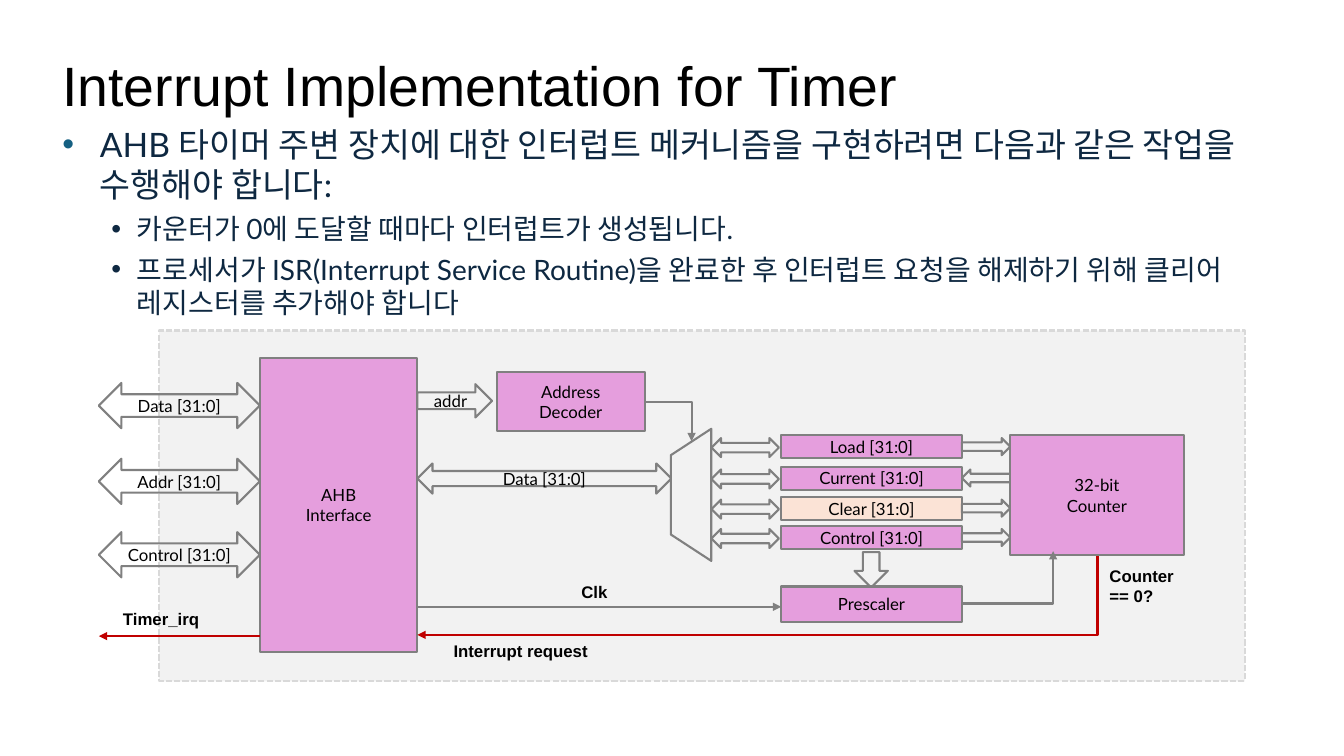
from lxml import etree
from pptx import Presentation
from pptx.dml.color import RGBColor
from pptx.enum.dml import MSO_LINE
from pptx.enum.shapes import MSO_CONNECTOR, MSO_SHAPE
from pptx.enum.text import MSO_ANCHOR, PP_ALIGN
from pptx.oxml.ns import qn
from pptx.util import Cm, Pt

BLOCK = MSO_SHAPE.FLOWCHART_PROCESS
MUX = MSO_SHAPE.FLOWCHART_MANUAL_OPERATION
BOTH_WAYS = MSO_SHAPE.LEFT_RIGHT_ARROW
ONE_WAY = MSO_SHAPE.RIGHT_ARROW
PANEL = MSO_SHAPE.RECTANGLE
STRAIGHT = MSO_CONNECTOR.STRAIGHT
ELBOW = MSO_CONNECTOR.ELBOW
DASH = MSO_LINE.SQUARE_DOT
MIDDLE = MSO_ANCHOR.MIDDLE
CENTER = PP_ALIGN.CENTER

PINK, PEACH, PALE = "E59EDD", "FBE3D6", "F2F2F2"
GRAY, LIGHT_GRAY, RED = "808080", "D9D9D9", "C00000"
BLACK, NAVY, TEAL = "000000", "0E2841", "156082"


def color(hex_value):
    return RGBColor.from_string(hex_value)


def style_runs(paragraph, font_name, size, hex_value, bold=False):
    for run in paragraph.runs:
        run.font.name = font_name
        run.font.size = Pt(size)
        run.font.color.rgb = color(hex_value)
        run.font.bold = bold


def add_bullet(paragraph, margin, hanging, hex_value):
    props = paragraph._p.get_or_add_pPr()
    props.set("marL", str(Cm(margin)))
    props.set("indent", str(-Cm(hanging)))
    bullet_color = etree.SubElement(props, qn("a:buClr"))
    etree.SubElement(bullet_color, qn("a:srgbClr"), val=hex_value)
    etree.SubElement(props, qn("a:buFont"), typeface="Arial")
    etree.SubElement(props, qn("a:buChar"), char="•")


def add_title(slide, box, text):
    frame = slide.shapes.add_textbox(*map(Cm, box)).text_frame
    frame.word_wrap = True
    frame.vertical_anchor = MIDDLE
    frame.text = text
    frame.paragraphs[0].line_spacing = 0.9
    style_runs(frame.paragraphs[0], "Arial", 39.6, BLACK)


def add_body(slide, box, lead, points):
    frame = slide.shapes.add_textbox(*map(Cm, box)).text_frame
    frame.word_wrap = True
    frame.text = "\n".join([lead, *points])
    heading, *details = frame.paragraphs
    add_bullet(heading, 0.95, 0.95, TEAL)
    style_runs(heading, "Lato", 24, NAVY)
    for detail in details:
        detail.level = 1
        add_bullet(detail, 1.88, 0.64, NAVY)
        detail.space_before = Pt(5)
        style_runs(detail, "Lato", 20, NAVY)


def add_timer_diagram(slide, box):
    left, top, width, height = box

    def part(kind, x, y, w, h, text="", fill=None, line=GRAY, turn=0):
        shape = slide.shapes.add_shape(kind, Cm(left + x), Cm(top + y), Cm(w), Cm(h))
        shape.shadow.inherit = False
        shape.rotation = turn
        if fill:
            shape.fill.solid()
            shape.fill.fore_color.rgb = color(fill)
        else:
            shape.fill.background()
        shape.line.color.rgb = color(line)
        shape.line.width = Pt(1.5)
        if text:
            frame = shape.text_frame
            frame.word_wrap = False
            frame.vertical_anchor = MIDDLE
            frame.margin_left = frame.margin_right = 0
            frame.margin_top = frame.margin_bottom = 0
            frame.text = text
            for paragraph in frame.paragraphs:
                paragraph.alignment = CENTER
                style_runs(paragraph, "Lato", 12, BLACK)
        return shape

    def wire(kind, x1, y1, x2, y2, hex_value=GRAY, arrow_at="a:tailEnd"):
        connector = slide.shapes.add_connector(
            kind, Cm(left + x1), Cm(top + y1), Cm(left + x2), Cm(top + y2))
        connector.line.color.rgb = color(hex_value)
        connector.line.width = Pt(1.5)
        props = connector._element.spPr
        if kind == ELBOW:
            props.find(qn("a:prstGeom")).set("prst", "bentConnector2")
        etree.SubElement(props.find(qn("a:ln")), qn(arrow_at), type="triangle")
        etree.SubElement(props, qn("a:effectLst"))

    def label(x, y, w, h, text):
        frame = slide.shapes.add_textbox(
            Cm(left + x), Cm(top + y), Cm(w), Cm(h)).text_frame
        frame.word_wrap = True
        frame.text = text
        for paragraph in frame.paragraphs:
            style_runs(paragraph, "Arial", 12, BLACK, True)

    bus_w, ahb_right = 4.06, 8.03
    register_x, register_w = 17.2, 4.55
    register_right = register_x + register_w

    panel = part(PANEL, 1.52, 0, width - 1.52, height, fill=PALE, line=LIGHT_GRAY)
    panel.line.dash_style = DASH

    part(BLOCK, bus_w, 0.69, ahb_right - bus_w, 7.42, "AHB\nInterface", PINK)
    for y, bus in ((1.32, "Data [31:0]"), (3.23, "Addr [31:0]"), (5.08, "Control [31:0]")):
        part(BOTH_WAYS, 0, y, bus_w, 1.14, bus)

    part(ONE_WAY, ahb_right, 1.35, 1.88, 0.84, "addr")
    part(BLOCK, 10.03, 1.04, 3.73, 1.5, "Address\nDecoder", PINK)
    part(BOTH_WAYS, ahb_right, 3.35, 6.4, 0.76, "Data [31:0]")
    part(MUX, 13.26, 3.63, 3.33, 1.02, fill=PALE, turn=90)
    wire(ELBOW, 13.77, 1.8, 14.94, 2.79)

    registers = (
        (2.64, "Load [31:0]", PINK, 0),
        (3.43, "Current [31:0]", PINK, 180),
        (4.19, "Clear [31:0]", PEACH, 0),
        (4.93, "Control [31:0]", PINK, 0),
    )
    for y, register, fill, turn in registers:
        part(BOTH_WAYS, 15.44, y + 0.07, 1.7, 0.48)
        part(BLOCK, register_x, y, register_w, 0.58, register, fill)
        part(ONE_WAY, register_right, y + 0.07, 1.22, 0.43, turn=turn)

    part(BLOCK, 22.96, 2.64, 4.39, 3.02, "32-bit\nCounter", PINK)
    part(ONE_WAY, 19.02, 5.61, 0.89, 0.84, turn=90)
    part(BLOCK, register_x, 6.45, register_w, 0.89, "Prescaler", PINK)

    wire(STRAIGHT, ahb_right, 6.96, register_x, 6.96)
    wire(ELBOW, register_right, 6.88, 24.05, 5.56)
    wire(ELBOW, ahb_right, 7.67, 25.17, 5.69, RED, "a:headEnd")
    wire(STRAIGHT, bus_w, 7.7, 0, 7.7, RED)

    label(11.91, 6.2, 2.64, 0.76, "Clk")
    label(25.22, 5.79, 3.23, 1.27, "Counter\n== 0?")
    label(0.36, 6.88, 3.71, 0.76, "Timer_irq")
    label(8.69, 7.7, 7.59, 0.76, "Interrupt request")


def main():
    deck = Presentation()
    deck.slide_width, deck.slide_height = Cm(33.87), Cm(19.05)
    slide = deck.slides.add_slide(deck.slide_layouts[6])
    add_title(slide, (1.32, 1.32, 31.19, 1.83), "Interrupt Implementation for Timer")
    add_body(
        slide, (1.32, 3, 31.06, 12.09),
        "AHB 타이머 주변 장치에 대한 인터럽트 메커니즘을 구현하려면 다음과 같은 작업을 수행해야 합니다:",
        ("카운터가 0에 도달할 때마다 인터럽트가 생성됩니다.",
         "프로세서가 ISR(Interrupt Service Routine)을 완료한 후 인터럽트 요청을 해제하기 위해 "
         "클리어 레지스터를 추가해야 합니다"))
    add_timer_diagram(slide, (2.49, 8.33, 28.88, 8.84))
    deck.save("out.pptx")


if __name__ == "__main__":
    main()
